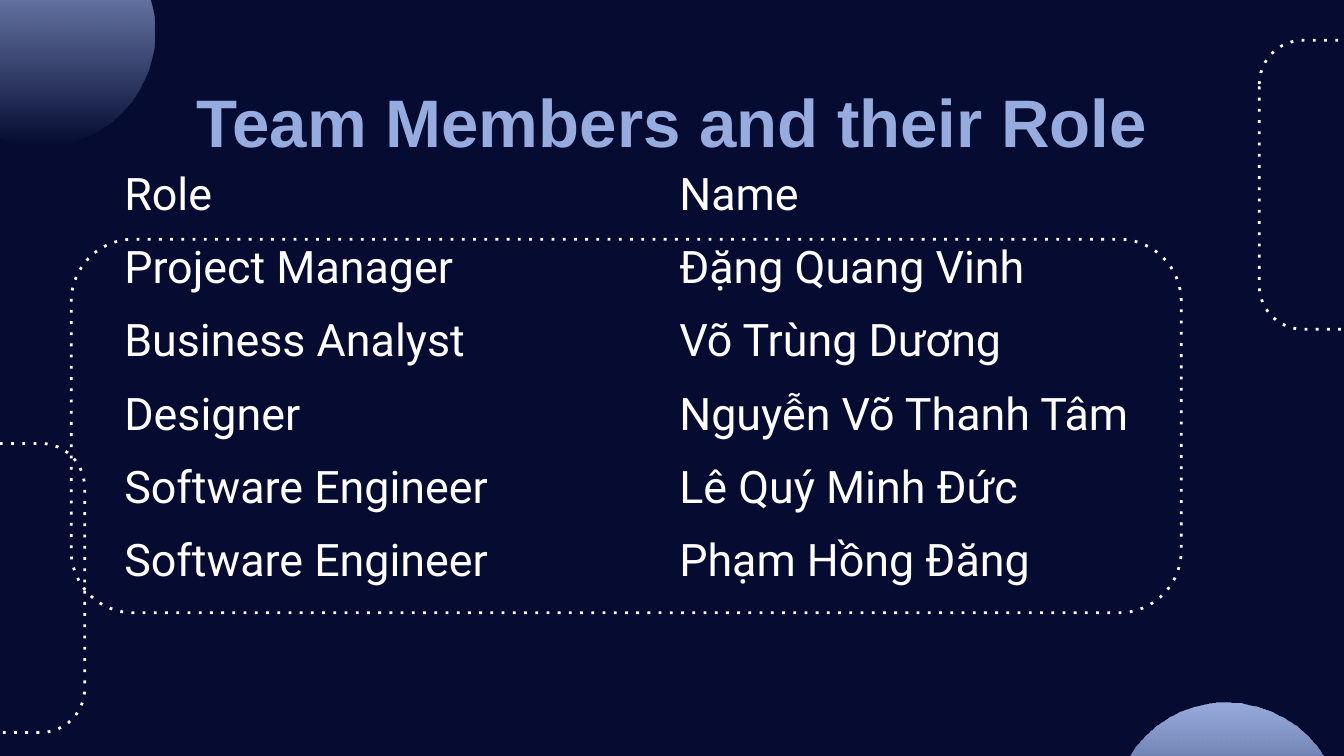
from pptx import Presentation
from pptx.dml.color import RGBColor
from pptx.enum.shapes import MSO_SHAPE
from pptx.enum.text import MSO_ANCHOR, PP_ALIGN
from pptx.oxml.ns import qn
from pptx.util import Inches, Pt
from lxml.etree import SubElement

NAVY = RGBColor(0x05, 0x0B, 0x31)
PERIWINKLE = RGBColor(0x97, 0xAC, 0xDE)
WHITE = RGBColor(0xFF, 0xFF, 0xFF)
NO_GRID_STYLE = "{2D5ABB26-0587-4C30-8999-92F81FD0307C}"

TEAM = [
    ("Role", "Name"),
    ("Project Manager", "Đặng Quang Vinh"),
    ("Business Analyst", "Võ Trùng Dương"),
    ("Designer", "Nguyễn Võ Thanh Tâm"),
    ("Software Engineer", "Lê Quý Minh Đức"),
    ("Software Engineer", "Phạm Hồng Đăng"),
]

presentation = Presentation()
presentation.slide_width = Inches(10)
presentation.slide_height = Inches(10) * 9 // 16
slide = presentation.slides.add_slide(presentation.slide_layouts[5])
slide.background.fill.solid()
slide.background.fill.fore_color.rgb = NAVY


def add_dotted_frame(left, top, width, height, corner):
    frame = slide.shapes.add_shape(
        MSO_SHAPE.ROUNDED_RECTANGLE,
        Inches(left), Inches(top), Inches(width), Inches(height))
    frame.adjustments[0] = corner
    frame.shadow.inherit = False
    frame.fill.background()
    frame.line.color.rgb = WHITE
    frame.line.width = Pt(1.5)
    SubElement(frame._element.spPr.find(qn("a:ln")), qn("a:prstDash"), val="dot")


def add_fading_circle(left, top):
    circle = slide.shapes.add_shape(
        MSO_SHAPE.OVAL, Inches(left), Inches(top), Inches(1.69), Inches(1.69))
    circle.shadow.inherit = False
    circle.line.fill.background()
    circle.fill.gradient()
    circle.fill.gradient_angle = 270
    for stop in circle.fill.gradient_stops:
        stop.color.rgb = PERIWINKLE
    last_color = circle._element.spPr.findall(".//" + qn("a:srgbClr"))[-1]
    SubElement(last_color, qn("a:alpha"), val="0")


# Corner decorations
add_dotted_frame(-0.9, 3.3, 1.53, 2.15, 0.213)
add_fading_circle(-0.54, -0.61)
add_fading_circle(8.28, 5.23)
add_dotted_frame(9.37, 0.3, 1.53, 2.15, 0.213)

# Title, moved in front of the decorations
title = slide.shapes.title
slide.shapes._spTree.append(title._element)
title.left, title.top = Inches(0.78), Inches(0.49)
title.width, title.height = Inches(8.44), Inches(0.81)
text_frame = title.text_frame
text_frame.margin_left = text_frame.margin_right = Inches(0.1)
text_frame.margin_top = text_frame.margin_bottom = Inches(0.1)
text_frame.vertical_anchor = MSO_ANCHOR.MIDDLE
paragraph = text_frame.paragraphs[0]
paragraph.alignment = PP_ALIGN.CENTER
run = paragraph.add_run()
run.text = "Team Members and their Role"
run.font.name = "Arial"
run.font.size = Pt(36)
run.font.bold = True
run.font.color.rgb = PERIWINKLE

# Team table
table_frame = slide.shapes.add_table(
    len(TEAM), 2, Inches(0.35), Inches(1.46), Inches(9.26), Inches(3.26))
table = table_frame.table
table.first_row = False
table.horz_banding = False
table._tbl.tblPr.find(qn("a:tableStyleId")).text = NO_GRID_STYLE
table.columns[0].width = Inches(4.13)
table.columns[1].width = Inches(5.13)
for row_index, member in enumerate(TEAM):
    for column_index, text in enumerate(member):
        cell = table.cell(row_index, column_index)
        cell.fill.background()
        cell.margin_left = cell.margin_right = Pt(5.4)
        cell.margin_top = cell.margin_bottom = 0
        paragraph = cell.text_frame.paragraphs[0]
        paragraph.alignment = PP_ALIGN.JUSTIFY
        paragraph.line_spacing = Pt(13.8)
        properties = paragraph._p.get_or_add_pPr()
        properties.set("marL", "0")
        properties.set("indent", str(Inches(0.5)))
        run = paragraph.add_run()
        run.text = text
        run.font.name = "Roboto"
        run.font.size = Pt(24)
        run.font.color.rgb = WHITE
table.cell(0, 0).text_frame.paragraphs[0].alignment = PP_ALIGN.LEFT

add_dotted_frame(0.53, 1.78, 8.26, 2.78, 0.167)

presentation.save("out.pptx")
